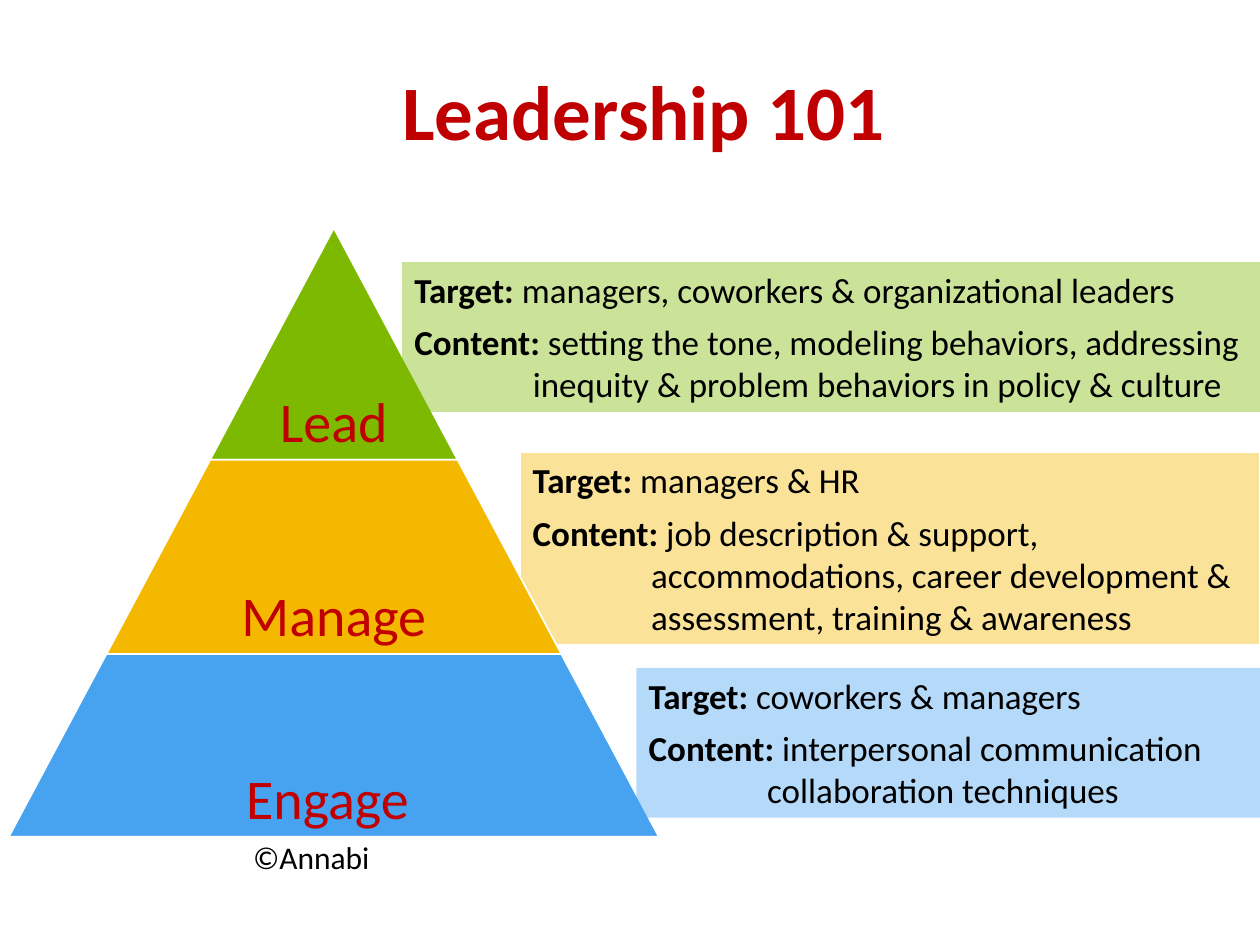
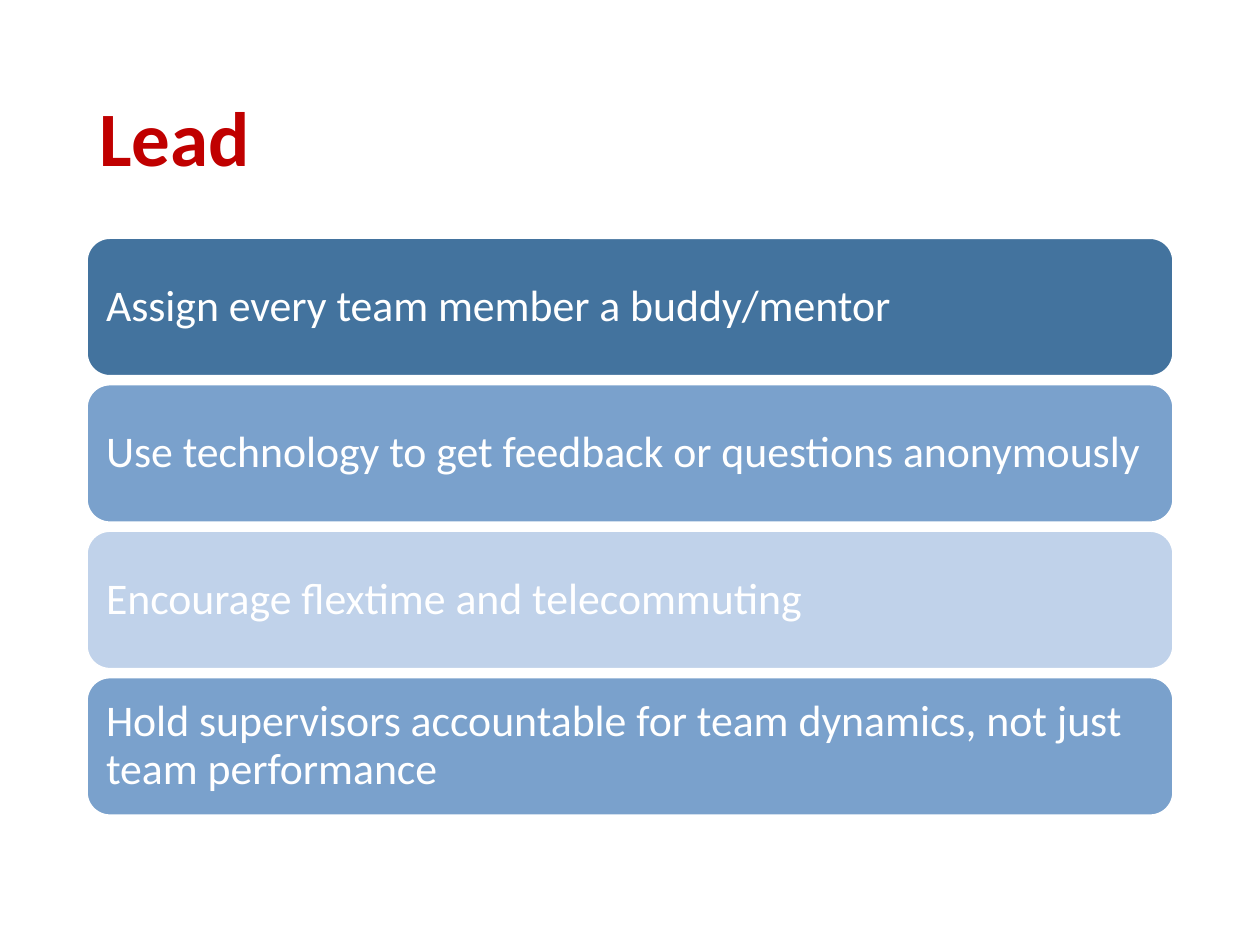
from dataclasses import dataclass

from lxml.etree import SubElement as Sub
from pptx import Presentation as Deck
from pptx.dml.color import RGBColor as Rgb
from pptx.enum.shapes import MSO_SHAPE as Kind
from pptx.enum.text import MSO_ANCHOR as Anchor, MSO_AUTO_SIZE as Fit, PP_ALIGN as Align
from pptx.oxml.ns import qn
from pptx.util import Inches, Pt


@dataclass(frozen=True)
class Theme:
    font: str = "Calibri"
    red: str = "C00000"
    black: str = "000000"
    white: str = "FFFFFF"
    green: str = "7DB901"
    gold: str = "F4B800"
    blue: str = "47A2F0"
    dark: str = "43739E"
    mid: str = "7AA1CC"
    pale: str = "C0D2EA"
    title: int = 44
    tier: int = 32
    bar: int = 25
    note: int = 20
    credit: int = 18
    tight: float = 0.9
    clear: int = 40


LOOK = Theme()


def put(item, form):
    for name, value in form.items():
        setattr(item, name, value)


def write(para, text, size, color, bold=False):
    run = para.add_run()
    run.text = text
    put(run.font, {"name": LOOK.font, "size": Pt(size), "bold": bold})
    run.font.color.rgb = Rgb.from_string(color)


def pad(frame, gap):
    sides = ("left", "top", "right", "bottom")
    put(frame, {f"margin_{side}": Inches(gap) for side in sides})


def add_box(slide, place, text, size, color, form, style, bold=False):
    box = slide.shapes.add_textbox(*map(Inches, place))
    put(box.text_frame, {"word_wrap": True, **form})
    para = box.text_frame.paragraphs[0]
    put(para, style)
    write(para, text, size, color, bold)


def add_title(slide, place, text, align):
    add_box(slide, place, text, LOOK.title, LOOK.red,
            {"vertical_anchor": Anchor.MIDDLE},
            {"alignment": align, "line_spacing": LOOK.tight}, True)


def add_form(slide, kind, place, fill, line=0):
    shape = slide.shapes.add_shape(kind, *map(Inches, place))
    shape.shadow.inherit = False
    shape.fill.solid()
    shape.fill.fore_color.rgb = Rgb.from_string(fill)
    if line:
        shape.line.color.rgb = Rgb.from_string(LOOK.white)
        shape.line.width = Pt(line)
    else:
        shape.line.fill.background()
    return shape


def add_label(shape, text, size, color, gap, form, align):
    frame = shape.text_frame
    pad(frame, gap)
    put(frame, form)
    para = frame.paragraphs[0]
    put(para, {"alignment": align, "line_spacing": LOOK.tight})
    write(para, text, size, color)


def add_panel(slide, place, fill, target, content, line=0):
    shape = add_form(slide, Kind.RECTANGLE, place, fill, line)
    tint = shape.element.spPr.find(qn("a:solidFill"))[0]
    Sub(tint, qn("a:alpha"), val=str(LOOK.clear * 1000))
    frame = shape.text_frame
    put(frame, {"word_wrap": True, "vertical_anchor": Anchor.TOP,
                "auto_size": Fit.SHAPE_TO_FIT_TEXT})
    hang = Inches(0.94)
    rows = (("Target:", target, 0), ("Content:", content, 6))
    for spot, (head, body, space) in enumerate(rows):
        para = frame.add_paragraph() if spot else frame.paragraphs[0]
        put(para, {"alignment": Align.LEFT, "space_before": Pt(space)})
        prop = para._p.get_or_add_pPr()
        prop.set("marL", str(hang))
        prop.set("indent", str(-hang))
        write(para, head, LOOK.note, LOOK.black, True)
        write(para, " " + body, LOOK.note, LOOK.black)


def add_tiers(slide, mid, top, slope, tiers):
    depth = 0
    for text, height, fill in tiers:
        start, depth = depth, depth + height
        half = slope * depth
        place = (mid - half, top + start, 2 * half, height)
        shape = add_form(slide, Kind.TRAPEZOID, place, fill, 1)
        shape.adjustments[0] = slope
        add_label(shape, text, LOOK.tier, LOOK.red, 0.04,
                  {"vertical_anchor": Anchor.BOTTOM, "word_wrap": False},
                  Align.CENTER)


def add_bars(slide, left, top, width, span, gap, bars):
    height = (span - gap * (len(bars) - 1)) / len(bars)
    for spot, (text, fill) in enumerate(bars):
        place = (left, top + spot * (height + gap), width, height)
        shape = add_form(slide, Kind.ROUNDED_RECTANGLE, place, fill, 1)
        add_label(shape, text, LOOK.bar, LOOK.white, 0.1,
                  {"vertical_anchor": Anchor.MIDDLE, "word_wrap": True},
                  Align.LEFT)


def build_levels(slide):
    add_panel(slide, (4.13, 3.59, 5.87, 1.53), LOOK.gold, "managers & HR",
              "job description & support, accommodations, career development"
              " & assessment, training & awareness", 0.75)
    add_title(slide, (0.22, 0.19, 9.78, 1.45), "Leadership 101", Align.CENTER)
    add_tiers(slide, 2.65, 1.81, 0.534, (
        ("Lead", 1.84, LOOK.green),
        ("Manage", 1.54, LOOK.gold),
        ("Engage ", 1.45, LOOK.blue),
    ))
    add_box(slide, (1.91, 6.6, 1.48, 0.4), "©Annabi", LOOK.credit, LOOK.black,
            {"auto_size": Fit.SHAPE_TO_FIT_TEXT}, {"alignment": Align.LEFT})
    add_panel(slide, (5.05, 5.3, 4.95, 1.19), LOOK.blue,
              "coworkers & managers",
              "interpersonal communication collaboration techniques")
    add_panel(slide, (3.19, 2.08, 6.81, 1.19), LOOK.green,
              "managers, coworkers & organizational leaders",
              "setting the tone, modeling behaviors, addressing inequity"
              " & problem behaviors in policy & culture")


def build_lead(slide):
    add_title(slide, (0.69, 0.4, 8.62, 1.45), "Lead", Align.LEFT)
    add_bars(slide, 0.69, 1.89, 8.62, 4.58, 0.07, (
        ("Assign every team member a buddy/mentor", LOOK.dark),
        ("Use technology to get feedback or questions anonymously", LOOK.mid),
        ("Encourage flextime and telecommuting", LOOK.pale),
        ("Hold supervisors accountable for team dynamics, not just team"
         " performance", LOOK.mid),
    ))


def main():
    deck = Deck()
    put(deck, {"slide_width": Inches(10), "slide_height": Inches(7.5)})
    for build in (build_levels, build_lead):
        build(deck.slides.add_slide(deck.slide_layouts[6]))
    deck.save("out.pptx")


if __name__ == "__main__":
    main()
